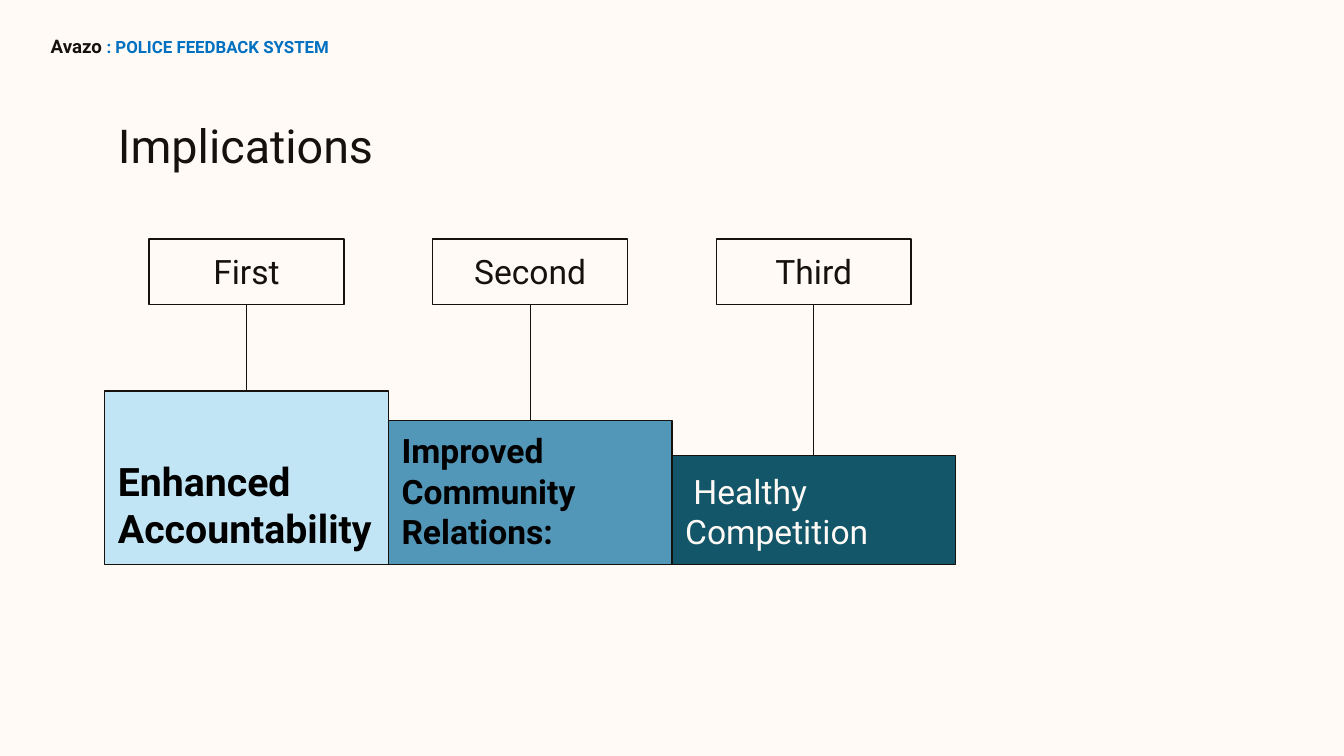
from lxml.etree import SubElement
from pptx import Presentation
from pptx.dml.color import RGBColor
from pptx.enum.shapes import MSO_CONNECTOR as Conn, MSO_SHAPE as Shape
from pptx.enum.text import MSO_ANCHOR as Anchor, MSO_AUTO_SIZE as AutoSize, PP_ALIGN as Align
from pptx.oxml.ns import qn
from pptx.util import Cm, Pt

INK, PAPER, BLUE, BLACK = "15110E", "FFFAF6", "0070C0", "000000"
FONT = "Roboto"
STEPS = [
    ("First", "Enhanced Accountability", 3.28, "C2E5F5", 21, BLACK, True),
    ("Second", "Improved Community Relations:", 2.72, "5296B8", 18, BLACK, True),
    ("Third", " Healthy Competition", 2.06, "135669", 18, PAPER, False),
]


def rgb(value):
    return RGBColor.from_string(value)


def style(font, size, color, bold=False):
    font.name, font.size, font.bold = FONT, Pt(size), bold
    font.color.rgb = rgb(color)


def set_frame(tf, anchor, pad_y=0.25):
    tf.word_wrap = True
    tf.auto_size = AutoSize.NONE
    tf.vertical_anchor = anchor
    tf.margin_left = tf.margin_right = Cm(0.25)
    tf.margin_top = tf.margin_bottom = Cm(pad_y)


def add_title(slide, x, y, w, h):
    sp = slide.shapes.title
    sp.left, sp.top, sp.width, sp.height = Cm(x), Cm(y), Cm(w), Cm(h)
    tf = sp.text_frame
    tf.text = "Implications"
    set_frame(tf, Anchor.TOP)
    p = tf.paragraphs[0]
    p.alignment = Align.LEFT
    style(p.font, 25, INK)


def add_header(slide, x, y, w, h):
    tf = slide.shapes.add_textbox(Cm(x), Cm(y), Cm(w), Cm(h)).text_frame
    set_frame(tf, Anchor.TOP, 0.13)
    p = tf.paragraphs[0]
    for text, size, color in [("Avazo ", 10, INK), (": POLICE FEEDBACK SYSTEM", 9, BLUE)]:
        r = p.add_run()
        r.text = text
        style(r.font, size, color, True)


def add_box(slide, x, y, w, h, text, size, color, bold=False, fill=None, align=Align.LEFT):
    sp = slide.shapes.add_shape(Shape.RECTANGLE, Cm(x), Cm(y), Cm(w), Cm(h))
    sp.shadow.inherit = False
    if fill:
        sp.fill.solid()
        sp.fill.fore_color.rgb = rgb(fill)
    else:
        sp.fill.background()
    sp.line.color.rgb = rgb(INK)
    sp.line.width = Pt(0.75)
    tf = sp.text_frame
    tf.text = text
    set_frame(tf, Anchor.BOTTOM)
    p = tf.paragraphs[0]
    p.alignment = align
    style(p.font, size, color, bold)


def add_stem(slide, x, top, bottom):
    line = slide.shapes.add_connector(Conn.STRAIGHT, Cm(x), Cm(top), Cm(x), Cm(bottom))
    line.line.color.rgb = rgb(INK)
    line.line.width = Pt(0.75)
    SubElement(line._element.spPr, qn("a:effectLst"))


def add_staircase(slide, x, y, w, h):
    col_w, label_w, label_h = w / len(STEPS), 3.68, 1.24
    for i, (label, text, step_h, fill, size, color, bold) in enumerate(STEPS):
        left = x + i * col_w
        mid = left + col_w / 2
        top = y + h - step_h
        add_box(slide, left, top, col_w, step_h, text, size, color, bold, fill)
        add_box(slide, mid - label_w / 2, y, label_w, label_h, label, 18, INK,
                align=Align.CENTER)
        add_stem(slide, mid, y + label_h, top)


def main():
    prs = Presentation()
    prs.slide_width, prs.slide_height = Cm(25.4), Cm(14.29)
    slide = prs.slides.add_slide(prs.slide_layouts[5])
    slide.background.fill.solid()
    slide.background.fill.fore_color.rgb = rgb(PAPER)
    add_title(slide, 1.98, 1.96, 6.5, 1.52)
    add_header(slide, 0.71, 0.53, 6.6, 0.69)
    add_staircase(slide, 1.98, 4.52, 16.08, 6.15)
    prs.save("out.pptx")


if __name__ == "__main__":
    main()
